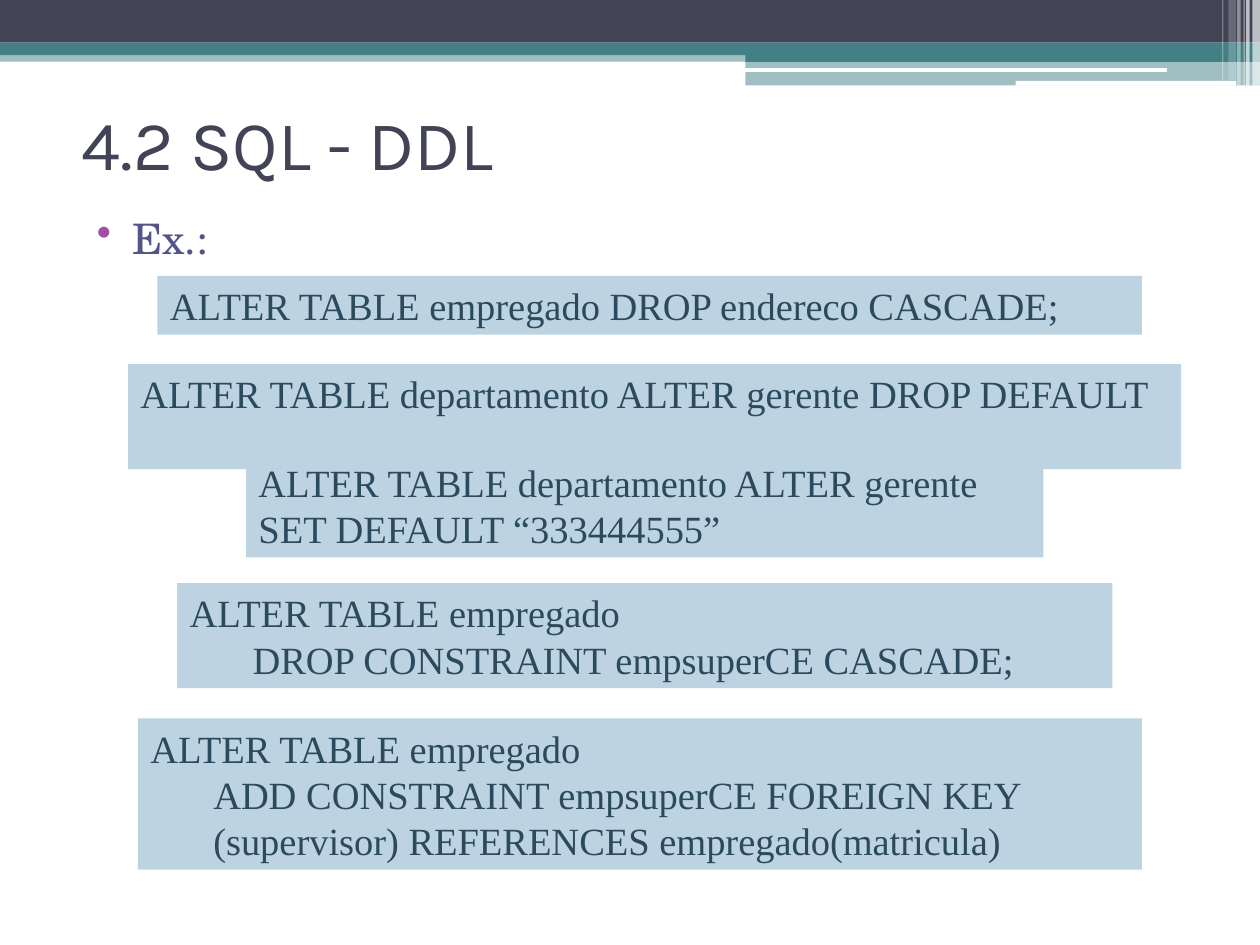
from lxml import etree
from pptx import Presentation
from pptx import util as u
from pptx.dml.color import RGBColor
from pptx.enum import shapes, text
from pptx.oxml import ns

COLORS = {
    "navy": "424456", "teal": "438086", "white": "FFFFFF", "panel": "BED3E1",
    "code": "2B4A5E", "body": "53548A", "bullet": "A04DA3",
}
RECT = shapes.MSO_SHAPE.RECTANGLE
ROUNDED = shapes.MSO_SHAPE.ROUNDED_RECTANGLE


class SlideBuilder:
    """Holds the style and the current slide; all lengths are in points."""

    def __init__(self, slide):
        self.slide = slide

    def color(self, name):
        return RGBColor.from_string(COLORS[name])

    def style(self, paragraph, font, size, color):
        paragraph.alignment = text.PP_ALIGN.LEFT
        paragraph.font.name = font
        paragraph.font.size = u.Pt(size)
        paragraph.font.color.rgb = self.color(color)

    def block(self, left, top, width, height, color, opacity=100, kind=RECT):
        shape = self.slide.shapes.add_shape(
            kind, u.Pt(left), u.Pt(top), u.Pt(width), u.Pt(height))
        shape.shadow.inherit = False
        shape.line.fill.background()
        shape.fill.solid()
        shape.fill.fore_color.rgb = self.color(color)
        if opacity < 100:
            fill = shape.fill._xPr.find(ns.qn("a:solidFill"))
            etree.SubElement(fill[0], ns.qn("a:alpha"), val=str(opacity * 1000))
        return shape

    def title(self, words, left, top, width, height):
        title = self.slide.shapes.title
        title.left, title.top = u.Pt(left), u.Pt(top)
        title.width, title.height = u.Pt(width), u.Pt(height)
        frame = title.text_frame
        frame.text = words
        frame.vertical_anchor = text.MSO_ANCHOR.MIDDLE
        self.style(frame.paragraphs[0], "Karla", 40, "navy")

    def bullet(self, words, left, top, width, height):
        box = self.slide.shapes.add_textbox(
            u.Pt(left), u.Pt(top), u.Pt(width), u.Pt(height))
        box.text_frame.word_wrap = True
        paragraph = box.text_frame.paragraphs[0]
        paragraph.text = words
        properties = paragraph._p.get_or_add_pPr()
        properties.set("marL", str(u.Pt(28.8)))
        properties.set("indent", str(u.Pt(-20.16)))
        bullet_color = etree.SubElement(properties, ns.qn("a:buClr"))
        etree.SubElement(bullet_color, ns.qn("a:srgbClr"), val=COLORS["bullet"])
        etree.SubElement(properties, ns.qn("a:buChar"), char="•")
        self.style(paragraph, "TeX Gyre Schola", 24, "body")

    def code(self, lines, left, top, width, height):
        frame = self.block(left, top, width, height, "panel").text_frame
        frame.word_wrap = True
        frame.vertical_anchor = text.MSO_ANCHOR.TOP
        frame.text = "\n".join(lines)
        for paragraph in frame.paragraphs:
            paragraph.line_spacing = u.Pt(26.4)
            self.style(paragraph, "Times New Roman", 22, "code")


def main():
    presentation = Presentation()
    presentation.slide_width, presentation.slide_height = u.Pt(720), u.Pt(540)
    layout = presentation.slide_layouts.get_by_name("Title Only")
    builder = SlideBuilder(presentation.slides.add_slide(layout))

    builder.block(0, 28.8, 720, 6.5, "teal", 50)
    builder.block(0, 0, 720, 24.4, "navy")
    builder.block(0, 24.4, 720, 7.2, "teal")
    builder.block(426, 28.2, 294, 7.2, "teal")
    builder.block(426, 34.8, 294, 14, "teal", 50)
    builder.block(425.6, 38.9, 241.2, 2.2, "white", kind=ROUNDED)
    builder.block(580.4, 46.2, 126, 2.7, "white", kind=ROUNDED)
    stripes = [
        (715.7, 4.3, 49, 65), (712.1, 2, 49, 65), (710.6, 0.7, 49, 60),
        (707, 2, 49, 40), (702, 4.3, 46, 20), (698.4, 0.7, 46, 30),
    ]
    for left, width, height, opacity in stripes:
        builder.block(left, 0, width, height, "white", opacity)

    builder.title("4.2 SQL - DDL", 39.6, 39.6, 648, 84.2)
    builder.bullet("Ex.:", 39.6, 118, 648, 39.6)

    examples = [
        (["ALTER TABLE empregado DROP endereco CASCADE;"], 90, 157.6, 562.5, 33.6),
        (["ALTER TABLE departamento ALTER gerente DROP DEFAULT"],
         73.2, 208.1, 601.7, 60),
        (["ALTER TABLE departamento ALTER gerente",
          "SET DEFAULT “333444555”"], 140.6, 258.5, 455.6, 60),
        (["ALTER TABLE empregado",
          "\tDROP CONSTRAINT empsuperCE CASCADE;"], 101.3, 333.2, 534.4, 60),
        (["ALTER TABLE empregado",
          "\tADD CONSTRAINT empsuperCE FOREIGN KEY",
          "\t(supervisor) REFERENCES empregado(matricula)"],
         78.8, 410.6, 573.7, 86.4),
    ]
    for example in examples:
        builder.code(*example)

    presentation.save("out.pptx")


if __name__ == "__main__":
    main()
